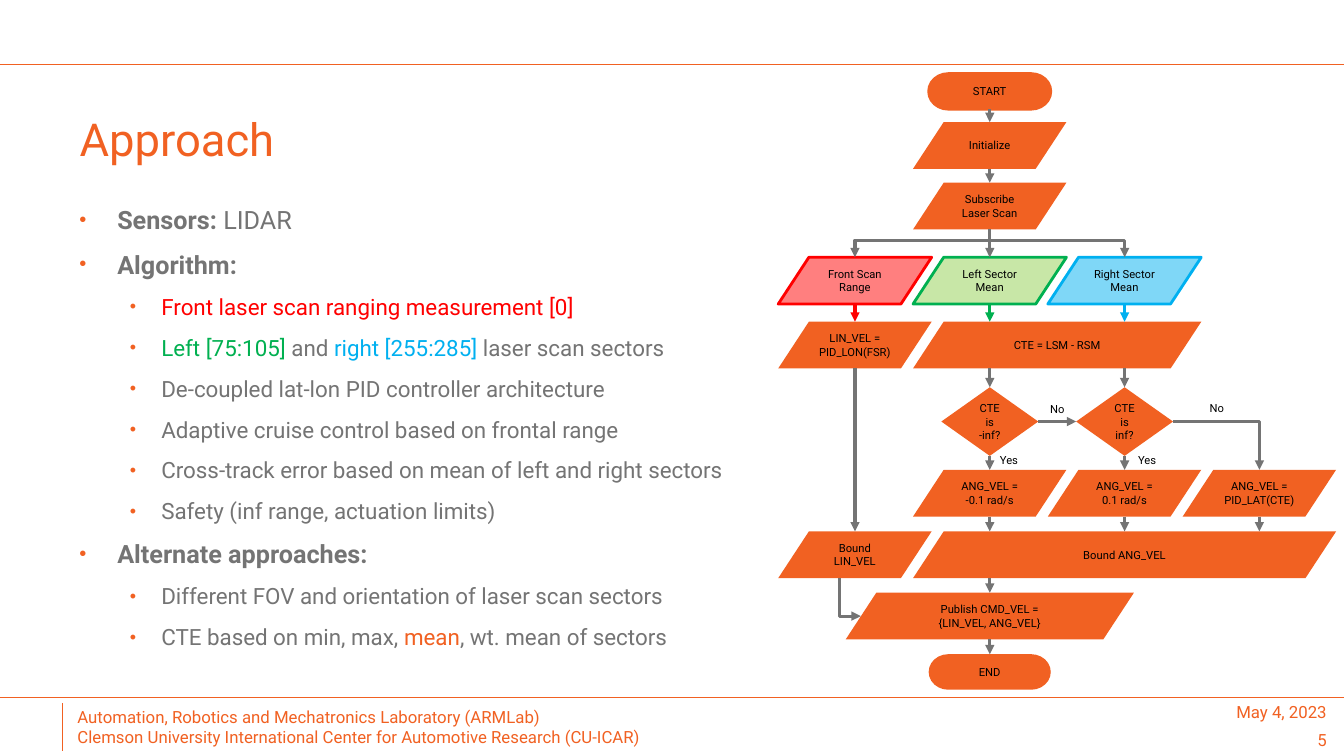
from dataclasses import dataclass
from typing import Any, Optional

from lxml.etree import SubElement
from pptx import Presentation
from pptx.dml.color import RGBColor
from pptx.enum.shapes import MSO_CONNECTOR as Link, MSO_SHAPE as Shape
from pptx.enum.text import MSO_ANCHOR as Anchor, PP_ALIGN as Align
from pptx.oxml.ns import qn
from pptx.util import Pt

FONT = "Roboto"
COLORS = {
    "orange": "F16122", "gray": "747474", "black": "000000", "red": "FF0000",
    "green": "00B050", "blue": "00B0F0", "lime": "92D050",
}

# Flowchart grid, in points
COLUMN_LEFT, COLUMN_PITCH = 610.7, 96.3
DATA_W, DATA_H, SLANT = 109.6, 33.4, 21.9
DIAMOND_W, DIAMOND_H = 69.2, 49
TERMINAL_W, TERMINAL_H = 87.2, 25.4
START, INIT, SUBSCRIBE, SCAN, CONTROL = 52.6, 87.2, 130.5, 183.8, 229.8
DECISION, VELOCITY, BOUND, PUBLISH, END = 276.6, 335.6, 379.6, 423.4, 467.3


@dataclass
class Span:
    text: str
    color: str = "gray"
    bold: bool = False


@dataclass
class Bullet:
    level: int
    spans: list[Span]


@dataclass
class Step:
    """A flowchart box centred on a column; span adds column pitches to its width."""
    lines: list[str]
    column: float
    top: float
    span: int = 0
    kind: Any = Shape.FLOWCHART_DATA
    fill: str = "orange"
    outline: Optional[str] = None
    opacity: int = 100


@dataclass
class Label:
    lines: list[str]
    box: tuple[float, float, float, float]
    size: float
    color: str
    layout: dict[str, Any]
    align: Any = Align.LEFT


@dataclass
class Arrow:
    start: tuple[float, float]
    end: tuple[float, float]
    color: str = "gray"


def rgb(name: str) -> RGBColor:
    return RGBColor.from_string(COLORS[name])


def column_x(column: float) -> float:
    return COLUMN_LEFT + COLUMN_PITCH * column


def assign(target: Any, values: dict[str, Any]) -> None:
    for name, value in values.items():
        setattr(target, name, value)


def add_span(paragraph, span: Span, size: float) -> None:
    run = paragraph.add_run()
    run.text = span.text
    assign(run.font, {"name": FONT, "size": Pt(size), "bold": span.bold})
    run.font.color.rgb = rgb(span.color)


def write(frame, lines: list[str], size: float, color: str, layout: dict, align) -> None:
    assign(frame, layout)
    for index, line in enumerate(lines):
        paragraph = frame.add_paragraph() if index else frame.paragraphs[0]
        paragraph.alignment = align
        add_span(paragraph, Span(line, color), size)


def add_label(slide, label: Label) -> None:
    frame = slide.shapes.add_textbox(*map(Pt, label.box)).text_frame
    write(frame, label.lines, label.size, label.color, label.layout, label.align)


def add_bullets(slide, bullets: list[Bullet], box: tuple) -> None:
    frame = slide.shapes.add_textbox(*map(Pt, box)).text_frame
    frame.word_wrap = True
    for index, bullet in enumerate(bullets):
        paragraph = frame.add_paragraph() if index else frame.paragraphs[0]
        paragraph.level = bullet.level
        paragraph.space_before = Pt(10 if index else 0)
        margin, hang, size = ((27, 27, 18), (58.5, 22.5, 16))[bullet.level]
        props = paragraph._p.get_or_add_pPr()
        props.set("marL", str(Pt(margin)))
        props.set("indent", str(-Pt(hang)))
        marker_color = SubElement(props, qn("a:buClr"))
        SubElement(marker_color, qn("a:srgbClr"), val=COLORS["orange"])
        SubElement(props, qn("a:buSzPct"), val="80000")
        SubElement(props, qn("a:buFont"), typeface="Arial")
        SubElement(props, qn("a:buChar"), char="•")
        for span in bullet.spans:
            add_span(paragraph, span, size)


def add_step(slide, step: Step) -> None:
    sizes = {Shape.FLOWCHART_DECISION: (DIAMOND_W, DIAMOND_H),
             Shape.FLOWCHART_TERMINATOR: (TERMINAL_W, TERMINAL_H)}
    width, height = sizes.get(step.kind, (DATA_W + COLUMN_PITCH * step.span, DATA_H))
    kind = Shape.PARALLELOGRAM if step.span else step.kind
    left = column_x(step.column) - width / 2
    box = slide.shapes.add_shape(kind, *map(Pt, (left, step.top, width, height)))
    if step.span:
        box.adjustments[0] = SLANT / DATA_H
    box.shadow.inherit = False
    box.fill.solid()
    box.fill.fore_color.rgb = rgb(step.fill)
    if step.opacity < 100:
        fill_color = box.element.spPr.find(qn("a:solidFill"))[0]
        SubElement(fill_color, qn("a:alpha"), val=str(step.opacity * 1000))
    if step.outline:
        box.line.color.rgb = rgb(step.outline)
        box.line.width = Pt(2)
    else:
        box.line.fill.background()
    layout = {"word_wrap": True, "vertical_anchor": Anchor.MIDDLE,
              "margin_left": Pt(6.5), "margin_right": Pt(6.5),
              "margin_top": 0, "margin_bottom": 0}
    write(box.text_frame, step.lines, 8, "black", layout, Align.CENTER)


def add_line(slide, kind, start: tuple, end: tuple, color: str, width: float, head: bool):
    line = slide.shapes.add_connector(kind, *map(Pt, (*start, *end)))
    line.line.color.rgb = rgb(color)
    line.line.width = Pt(width)
    if head:
        SubElement(line.line._get_or_add_ln(), qn("a:tailEnd"), type="triangle")
    SubElement(line.element.spPr, qn("a:effectLst"))
    return line


def add_elbow(slide, arrow: Arrow, preset: str, bend: Optional[int] = None,
              vertical_first: bool = False) -> None:
    """Draw a bent arrow; leaving vertically means turning the preset by a quarter."""
    (x1, y1), (x2, y2) = start, end = arrow.start, arrow.end
    if vertical_first:
        mid_x, mid_y = (x1 + x2) / 2, (y1 + y2) / 2
        half_w, half_h = abs(y2 - y1) / 2, abs(x2 - x1) / 2
        start, end = (mid_x - half_w, mid_y - half_h), (mid_x + half_w, mid_y + half_h)
    elbow = add_line(slide, Link.ELBOW, start, end, arrow.color, 2.25, True)
    geometry = elbow.element.spPr.find(qn("a:prstGeom"))
    geometry.set("prst", preset)
    if bend is not None:
        guides = geometry.find(qn("a:avLst"))
        if guides is None:
            guides = SubElement(geometry, qn("a:avLst"))
        SubElement(guides, qn("a:gd"), name="adj1", fmla=f"val {bend}")
    if vertical_first:
        frame = elbow.element.spPr.find(qn("a:xfrm"))
        frame.set("rot", "16200000" if x2 > x1 else "5400000")
        if x2 > x1:
            frame.set("flipH", "1")


def down(column: float, top: float, bottom: float, color: str = "gray") -> Arrow:
    return Arrow((column_x(column), top), (column_x(column), bottom), color)


DIAMOND, TERMINAL = Shape.FLOWCHART_DECISION, Shape.FLOWCHART_TERMINATOR
STEPS = [
    Step(["START"], 1, START, kind=TERMINAL, outline="orange"),
    Step(["Initialize"], 1, INIT),
    Step(["Subscribe Laser Scan"], 1, SUBSCRIBE),
    Step(["Front Scan Range"], 0, SCAN, fill="red", outline="red", opacity=50),
    Step(["Left Sector Mean"], 1, SCAN, fill="lime", outline="green", opacity=50),
    Step(["Right Sector Mean"], 2, SCAN, fill="blue", outline="blue", opacity=50),
    Step(["LIN_VEL =", "PID_LON(FSR)"], 0, CONTROL),
    Step(["CTE = LSM - RSM"], 1.5, CONTROL, span=1),
    Step(["CTE is", "-inf?"], 1, DECISION, kind=DIAMOND),
    Step(["CTE is", "inf?"], 2, DECISION, kind=DIAMOND),
    Step(["ANG_VEL =", "-0.1 rad/s"], 1, VELOCITY),
    Step(["ANG_VEL =", "0.1 rad/s"], 2, VELOCITY),
    Step(["ANG_VEL =", "PID_LAT(CTE)"], 3, VELOCITY),
    Step(["Bound LIN_VEL"], 0, BOUND),
    Step(["Bound ANG_VEL"], 2, BOUND, span=2),
    Step(["Publish CMD_VEL =", "{LIN_VEL, ANG_VEL}"], 1, PUBLISH, span=1),
    Step(["END"], 1, END, kind=TERMINAL),
]
DECISION_Y = DECISION + DIAMOND_H / 2
ARROWS = [
    down(1, START + TERMINAL_H, INIT), down(1, INIT + DATA_H, SUBSCRIBE),
    down(1, SUBSCRIBE + DATA_H, SCAN),
    *(down(i, SCAN + DATA_H, CONTROL, c) for i, c in enumerate(("red", "green", "blue"))),
    *(down(i, CONTROL + DATA_H, DECISION) for i in (1, 2)),
    *(down(i, DECISION + DIAMOND_H, VELOCITY) for i in (1, 2)),
    *(down(i, VELOCITY + DATA_H, BOUND) for i in (1, 2, 3)),
    down(0, CONTROL + DATA_H, BOUND), down(1, BOUND + DATA_H, PUBLISH),
    down(1, PUBLISH + DATA_H, END),
    Arrow((column_x(1) + DIAMOND_W / 2, DECISION_Y), (column_x(2) - DIAMOND_W / 2, DECISION_Y)),
]
BULLETS = [
    Bullet(0, [Span("Sensors: ", bold=True), Span("LIDAR")]),
    Bullet(0, [Span("Algorithm:", bold=True)]),
    Bullet(1, [Span("Front laser scan ranging measurement [0]", "red")]),
    Bullet(1, [Span("Left [75:105] ", "green"), Span("and "),
               Span("right [255:285] ", "blue"), Span("laser scan sectors")]),
    Bullet(1, [Span("De-coupled lat-lon PID controller architecture")]),
    Bullet(1, [Span("Adaptive cruise control based on frontal range")]),
    Bullet(1, [Span("Cross-track error based on mean of left and right sectors")]),
    Bullet(1, [Span("Safety (inf range, actuation limits)")]),
    Bullet(0, [Span("Alternate approaches:", bold=True)]),
    Bullet(1, [Span("Different FOV and orientation of laser scan sectors")]),
    Bullet(1, [Span("CTE based on min, max, "), Span("mean", "orange"),
               Span(", wt. mean of sectors")]),
]
CORNER = {"word_wrap": True, "vertical_anchor": Anchor.MIDDLE, "margin_top": 0, "margin_bottom": 0}
LABELS = [
    Label(["Automation, Robotics and Mechatronics Laboratory (ARMLab)",
           "Clemson University International Center for Automotive Research (CU-ICAR)"],
          (48.2, 501.1, 425, 36), 12, "orange", {"word_wrap": False}),
    Label(["May 4, 2023"], (807.8, 501.8, 147, 13.7), 12, "orange", CORNER, Align.RIGHT),
    Label(["5"], (807.8, 521.3, 147, 13.7), 12, "orange", CORNER, Align.RIGHT),
    *(Label([answer], (left, top, 41.8, 16.6), 8, "black", {"word_wrap": True}, Align.CENTER)
      for answer, left, top in (("Yes", 699.8, 320.4), ("Yes", 798.5, 320.4),
                                ("No", 734.4, 283.5), ("No", 848.2, 283))),
]
RULES = [((0, 46.4), (960, 46.4)), ((0, 498.2), (960, 498.2)), ((44.6, 536.4), (44.6, 501.8))]


def main() -> None:
    deck = Presentation()
    assign(deck, {"slide_width": Pt(960), "slide_height": Pt(540)})
    slide = deck.slides.add_slide(deck.slide_layouts[5])
    for start, end in RULES:
        add_line(slide, Link.STRAIGHT, start, end, "orange", 0.75, False)
    title = slide.shapes.title
    assign(title, {"left": Pt(49.7), "top": Pt(73.4), "width": Pt(861), "height": Pt(50.4)})
    write(title.text_frame, ["Approach"], 32.4, "orange",
          {"word_wrap": True, "vertical_anchor": Anchor.MIDDLE}, Align.LEFT)
    add_bullets(slide, BULLETS, (49.7, 142.6, 861, 337.7))
    for step in STEPS:
        add_step(slide, step)
    for arrow in ARROWS:
        add_line(slide, Link.STRAIGHT, arrow.start, arrow.end, arrow.color, 2.25, True)
    for column in (0, 2):
        branch = Arrow((column_x(1), SUBSCRIBE + DATA_H), (column_x(column), SCAN))
        add_elbow(slide, branch, "bentConnector3", 38400, vertical_first=True)
    otherwise = Arrow((column_x(2) + DIAMOND_W / 2, DECISION_Y), (column_x(3), VELOCITY))
    add_elbow(slide, otherwise, "bentConnector2")
    to_publish = Arrow((599.7, BOUND + DATA_H), (614.9, PUBLISH + DATA_H / 2))
    add_elbow(slide, to_publish, "bentConnector2", vertical_first=True)
    for label in LABELS:
        add_label(slide, label)
    deck.save("out.pptx")


if __name__ == "__main__":
    main()
